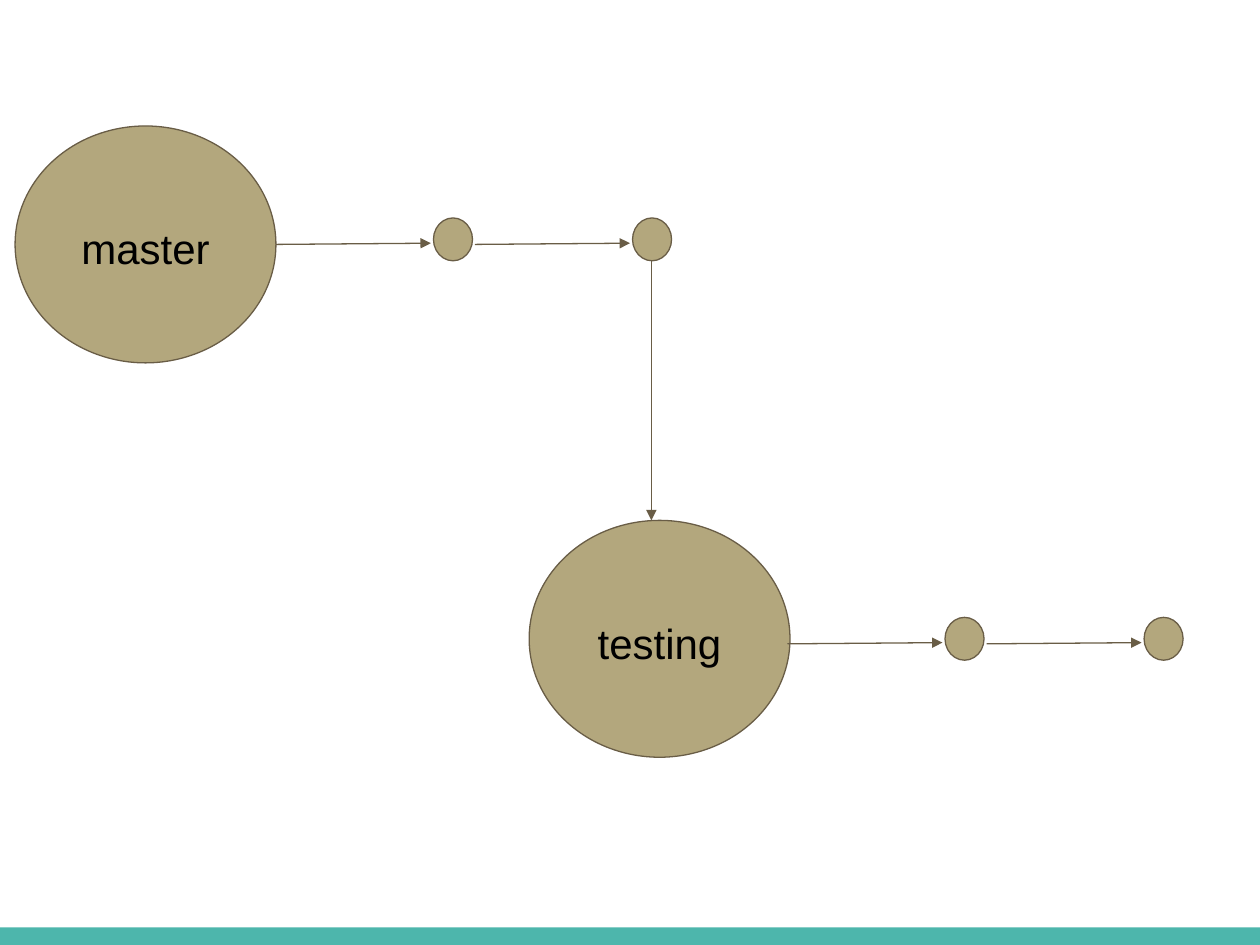
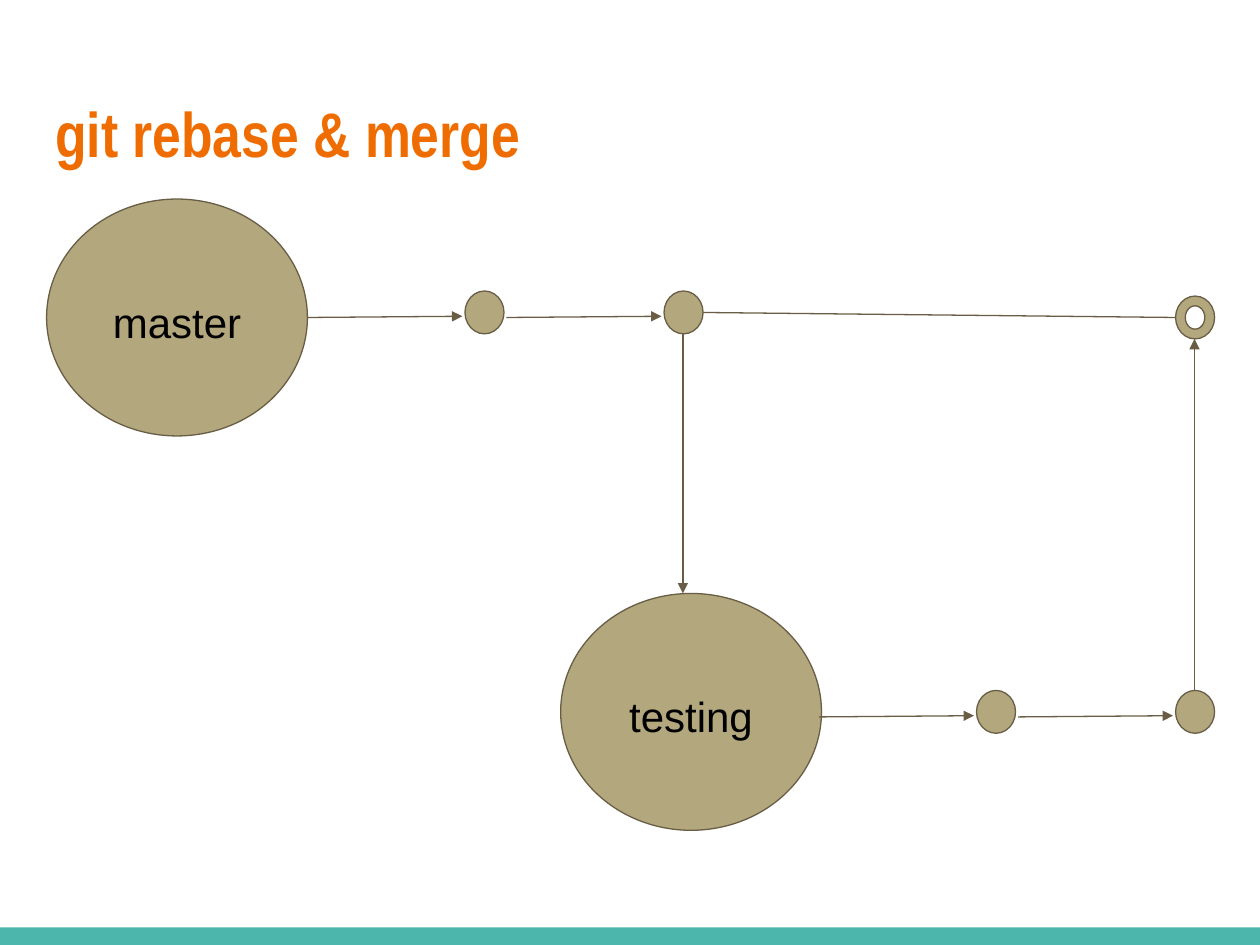
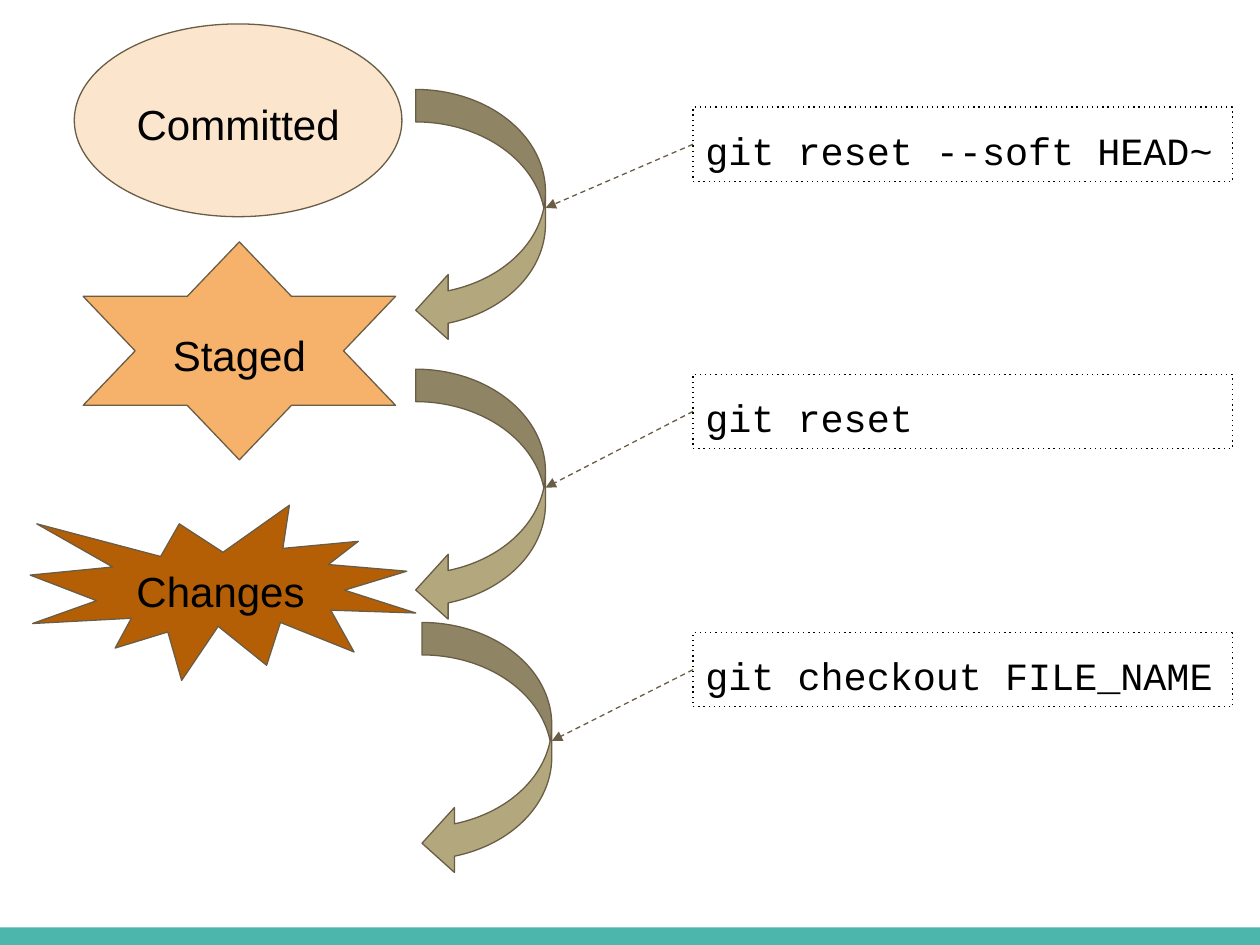
from dataclasses import dataclass

from lxml.etree import SubElement
from pptx import Presentation
from pptx.dml.color import RGBColor
from pptx.enum.shapes import MSO_CONNECTOR, MSO_SHAPE as Shape
from pptx.enum.text import MSO_ANCHOR as Anchor, PP_ALIGN as Align
from pptx.oxml.ns import qn
from pptx.util import Inches, Pt


@dataclass(frozen=True)
class Theme:
    """Colours, fonts and sizes used throughout the deck."""
    band: str = "4DB6AC"
    title: str = "EF6C00"
    node: str = "B3A77D"
    outline: str = "695D46"
    text: str = "000000"
    committed: str = "FCE5CD"
    staged: str = "F6B26B"
    changes: str = "B45F06"
    title_font: str = "Arial Narrow"
    label_font: str = "Arial"
    code_font: str = "Courier New"
    title_size: float = 36
    label_size: float = 24
    code_size: float = 22
    line_width: float = 0.75
    body_spacing: float = 1.15


class Deck:
    """Holds the theme and the current slide and draws elements on it."""

    def __init__(self, theme):
        self.theme = theme
        self.prs = Presentation()
        self.prs.slide_width, self.prs.slide_height = Inches(10), Inches(7.5)
        self.slide = None

    def new_slide(self):
        """Start a blank slide with the footer band."""
        self.slide = self.prs.slides.add_slide(self.prs.slide_layouts[6])
        self.shape(Shape.RECTANGLE, 0, 7.36, 10, 0.14, self.theme.band, None)

    def style_line(self, line, color, dash=None, arrow=False):
        """Set colour, width, dash and arrowhead of a line."""
        line.color.rgb = RGBColor.from_string(color)
        line.width = Pt(self.theme.line_width)
        ln = line._get_or_add_ln()
        if dash:
            SubElement(ln, qn("a:prstDash"), val=dash)
        if arrow:
            SubElement(ln, qn("a:tailEnd"), type="triangle")

    def set_text(self, sp, text, font, size, color, align=Align.LEFT,
                 anchor=Anchor.TOP, bold=False, spacing=1.0):
        """Put one styled paragraph into a shape."""
        tf = sp.text_frame
        tf.word_wrap = True
        tf.vertical_anchor = anchor
        tf.margin_left = tf.margin_right = Inches(0.1)
        tf.margin_top = tf.margin_bottom = Inches(0.1)
        p = tf.paragraphs[0]
        p.text = text
        p.alignment = align
        p.line_spacing = spacing
        p.font.name, p.font.size, p.font.bold = font, Pt(size), bold
        p.font.color.rgb = RGBColor.from_string(color)

    def shape(self, kind, x, y, w, h, fill, line, dash=None):
        """Draw a preset shape; None leaves out its fill or line."""
        sp = self.slide.shapes.add_shape(
            kind, Inches(x), Inches(y), Inches(w), Inches(h))
        sp.shadow.inherit = False
        if fill:
            sp.fill.solid()
            sp.fill.fore_color.rgb = RGBColor.from_string(fill)
        else:
            sp.fill.background()
        if line:
            self.style_line(sp.line, line, dash)
        else:
            sp.line.fill.background()
        return sp

    def title(self, text):
        """Add the slide title."""
        t = self.theme
        sp = self.slide.shapes.add_textbox(
            Inches(0.34), Inches(0.65), Inches(9.32), Inches(1.03))
        self.set_text(sp, text, t.title_font, t.title_size, t.title, bold=True)

    def labelled(self, kind, x, y, w, h, text, fill):
        """Draw an outlined shape with a centred label."""
        t = self.theme
        sp = self.shape(kind, x, y, w, h, fill, t.outline)
        self.set_text(sp, text, t.label_font, t.label_size, t.text,
                      Align.CENTER, Anchor.MIDDLE, spacing=t.body_spacing)

    def branch(self, x, y, name):
        """Draw the large circle of a branch."""
        self.labelled(Shape.OVAL, x, y, 2.07, 1.88, name, self.theme.node)

    def commit(self, x, y, kind=Shape.OVAL):
        """Draw a small commit node."""
        self.shape(kind, x, y, 0.31, 0.34, self.theme.node, self.theme.outline)

    def commits(self, x, y):
        """Draw two commits, each with its incoming arrow."""
        for dx in (0, 1.58):
            left = x + dx
            self.connector(left, y + 0.21, left + 1.23, y + 0.2)
            self.commit(left + 1.25, y)

    def connector(self, x1, y1, x2, y2, arrow=True, dash=None):
        """Draw a straight line, by default with an arrowhead."""
        cn = self.slide.shapes.add_connector(
            MSO_CONNECTOR.STRAIGHT, Inches(x1), Inches(y1), Inches(x2), Inches(y2))
        self.style_line(cn.line, self.theme.outline, dash, arrow)
        SubElement(cn._element.spPr, qn("a:effectLst"))
        return cn

    def branch_graph(self, x, y):
        """Draw master and the testing branch that starts from it."""
        self.branch(x, y, "master")
        self.commits(x + 2.07, y + 0.73)
        self.connector(x + 5.05, y + 1.07, x + 5.05, y + 3.13)
        self.branch(x + 4.08, y + 3.13, "testing")
        self.commits(x + 6.13, y + 3.9)

    def curved_arrow(self, x, y):
        """Draw an arrow that bends from one state back to the next."""
        sp = self.shape(Shape.CURVED_RIGHT_ARROW, x, y, 1.03, 2.01,
                        self.theme.node, self.theme.outline)
        sp._element.spPr.xfrm.set("flipH", "1")

    def command(self, y, text, arrow_x, arrow_y):
        """Draw a boxed command pointing at its curved arrow."""
        t = self.theme
        self.curved_arrow(arrow_x, arrow_y)
        box = self.shape(Shape.RECTANGLE, 5.5, y, 4.28, 0.59, None, t.text, "dot")
        self.set_text(box, text, t.code_font, t.code_size, t.text,
                      spacing=t.body_spacing)
        cn = self.connector(5.5, y + 0.3, arrow_x + 1.03, arrow_y + 0.94, dash="dash")
        cn.begin_connect(box, 1)


def branch_slide(deck):
    deck.new_slide()
    deck.branch_graph(0.12, 1)


def merge_slide(deck):
    deck.new_slide()
    deck.title("git rebase & merge")
    deck.branch_graph(0.37, 1.58)
    deck.commit(9.33, 2.35, Shape.DONUT)
    deck.connector(9.48, 5.48, 9.48, 2.69)
    deck.connector(5.58, 2.48, 9.33, 2.52, arrow=False)


def reset_slide(deck):
    t = deck.theme
    deck.new_slide()
    states = [
        (Shape.EXPLOSION1, 0.24, 4.01, 3.06, 1.39, "Changes", t.changes),
        (Shape.STAR_6_POINT, 0.66, 1.92, 2.48, 1.73, "Staged", t.staged),
        (Shape.OVAL, 0.59, 0.19, 2.6, 1.53, "Committed", t.committed),
    ]
    for state in states:
        deck.labelled(*state)
    commands = [
        (0.85, "git reset --soft HEAD~", 3.3, 0.71),
        (2.97, "git reset", 3.3, 2.93),
        (5.02, "git checkout FILE_NAME", 3.35, 4.94),
    ]
    for command in commands:
        deck.command(*command)


def main():
    deck = Deck(Theme())
    for build in (branch_slide, merge_slide, reset_slide):
        build(deck)
    deck.prs.save("out.pptx")


if __name__ == "__main__":
    main()
